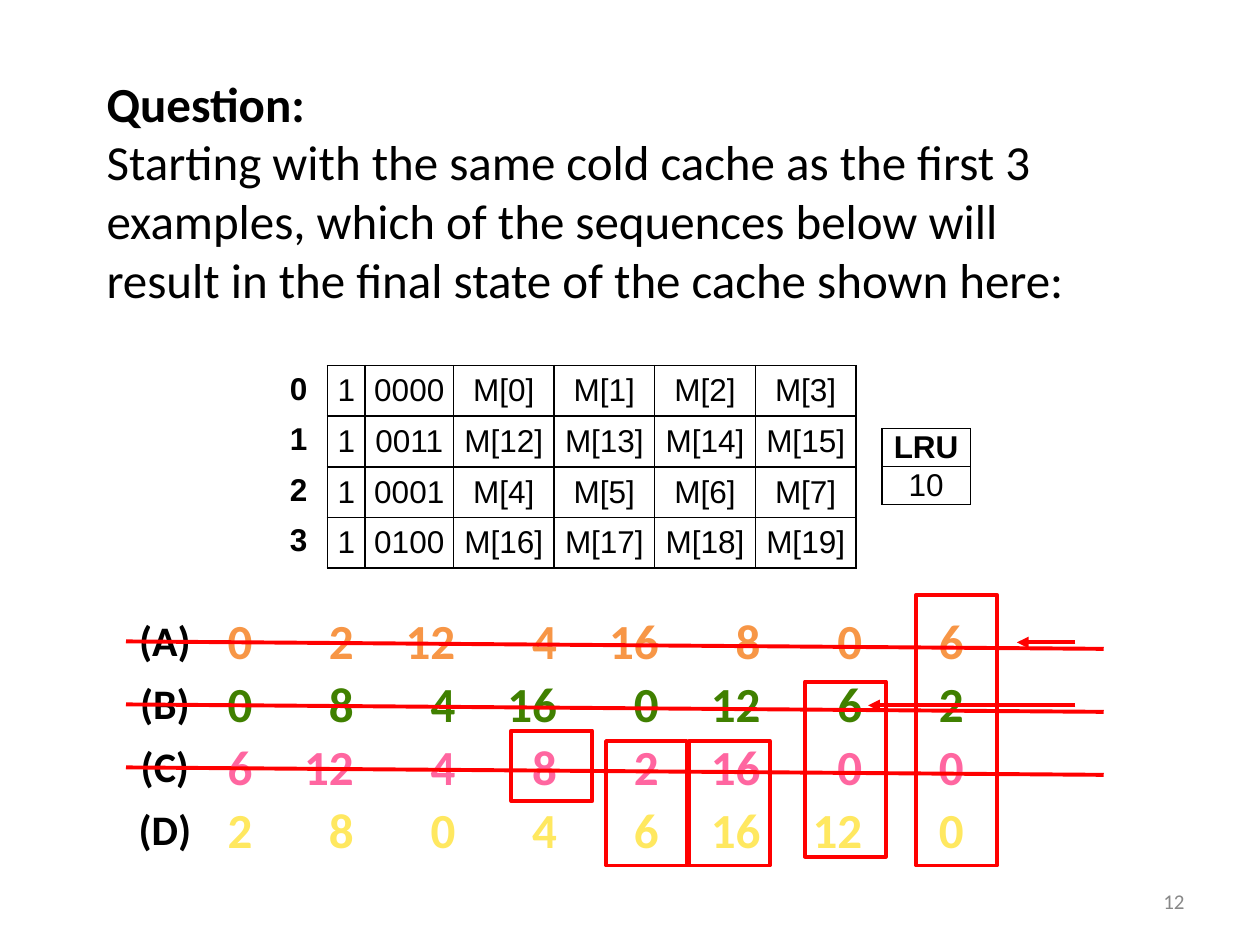
from typing import NamedTuple, Optional

from pptx import Presentation
from pptx import util as u
from pptx.dml.color import RGBColor
from pptx.enum import shapes, text
from pptx.oxml.ns import qn
from lxml import etree

Cm, Pt = u.Cm, u.Pt
ALIGN, ANCHOR = text.PP_ALIGN, text.MSO_ANCHOR
RED, BLACK, WHITE = "FF0000", "000000", "FFFFFF"
ROW_STEP = 1.27
FIRST_TAB, TAB_STEP = 2.54, 2.05


class Sequence(NamedTuple):
    label: str
    color: str
    addresses: str


class Frame(NamedTuple):
    left: float
    top: float
    height: float


class Arrow(NamedTuple):
    tip: float
    y: float


SEQUENCES = [
    Sequence("(A)", "F79646", "0 2 12 4 16 8 0 6"),
    Sequence("(B)", "408000", "0 8 4 16 0 12 6 2"),
    Sequence("(C)", "FF66A0", "6 12 4 8 2 16 0 0"),
    Sequence("(D)", "FFE860", "2 8 0 4 6 16 12 0"),
]
FRAMES = [
    Frame(18.47, 11.99, 5.46),
    Frame(16.23, 13.74, 3.53),
    Frame(13.89, 14.94, 2.51),
    Frame(12.22, 14.94, 2.51),
    Frame(10.31, 14.73, 1.42),
]
ARROWS = [Arrow(20.5, 12.95), Arrow(17.5, 14.22)]
CACHE = [("0000", 0), ("0011", 12), ("0001", 4), ("0100", 16)]


def rgb(value: str) -> RGBColor:
    return RGBColor.from_string(value)


def write(p, content: str, size: float = 28, color: str = BLACK, bold: bool = False,
          font: str = "Calibri", align=ALIGN.LEFT) -> None:
    p.alignment = align
    r = p.add_run()
    r.text = content
    r.font.name, r.font.size, r.font.bold = font, Pt(size), bold
    r.font.color.rgb = rgb(color)


def add_box(s, left: float, top: float, width: float, height: float):
    tf = s.shapes.add_textbox(Cm(left), Cm(top), Cm(width), Cm(height)).text_frame
    tf.word_wrap = True
    return tf


def add_tabs(p, count: int) -> None:
    """Give the paragraph evenly spaced right-aligned tab stops."""
    tabs = etree.SubElement(p._p.get_or_add_pPr(), qn("a:tabLst"))
    for i in range(count):
        etree.SubElement(tabs, qn("a:tab"), pos=str(Cm(FIRST_TAB + i * TAB_STEP)), algn="r")


def add_sequence(s, row: int, seq: Sequence) -> None:
    y = row * ROW_STEP
    p = add_box(s, 4.34, 12.19 + y, 15.75, 1.45).paragraphs[0]
    addresses = seq.addresses.split()
    add_tabs(p, len(addresses) - 1)
    write(p, "\t".join(addresses), color=seq.color, bold=True)
    p = add_box(s, 2.54, 12.27 + y, 1.57, 1.27).paragraphs[0]
    write(p, seq.label, size=24, bold=True, align=ALIGN.CENTER)


def set_borders(cell, color: Optional[str]) -> None:
    """Outline all four sides, or clear them when there is no color."""
    tc_pr = cell._tc.get_or_add_tcPr()
    for i, side in enumerate(("lnL", "lnR", "lnT", "lnB")):
        ln = etree.Element(qn(f"a:{side}"), w=str(Pt(1)))
        if color:
            fill = etree.SubElement(ln, qn("a:solidFill"))
            etree.SubElement(fill, qn("a:srgbClr"), val=color)
        else:
            etree.SubElement(ln, qn("a:noFill"))
        tc_pr.insert(i, ln)


def add_grid(s, left: float, top: float, widths: list[float], row_height: float,
             rows: list[list[str]], bold_rows: int = 0, boxed: bool = True) -> None:
    table = s.shapes.add_table(len(rows), len(widths), Cm(left), Cm(top),
                               Cm(sum(widths)), Cm(row_height * len(rows))).table
    table.first_row = table.horz_banding = False
    for column, width in zip(table.columns, widths):
        column.width = Cm(width)
    for i, values in enumerate(rows):
        table.rows[i].height = Cm(row_height)
        for j, value in enumerate(values):
            cell = table.cell(i, j)
            if boxed:
                cell.margin_left = cell.margin_right = cell.margin_top = cell.margin_bottom = 0
                cell.vertical_anchor = ANCHOR.MIDDLE
                cell.fill.solid()
                cell.fill.fore_color.rgb = rgb(WHITE)
            else:
                cell.fill.background()
            set_borders(cell, BLACK if boxed else None)
            write(cell.text_frame.paragraphs[0], value, size=18, font="Arial",
                  bold=i < bold_rows, align=ALIGN.CENTER)


def add_frame(s, frame: Frame) -> None:
    sp = s.shapes.add_shape(shapes.MSO_SHAPE.RECTANGLE, Cm(frame.left), Cm(frame.top),
                            Cm(1.63), Cm(frame.height))
    sp.shadow.inherit = False
    sp.fill.background()
    sp.line.color.rgb = rgb(RED)
    sp.line.width = Pt(2.25)


def add_line(s, x1: float, y1: float, x2: float, y2: float, arrow: bool = False) -> None:
    line = s.shapes.add_connector(shapes.MSO_CONNECTOR.STRAIGHT, Cm(x1), Cm(y1), Cm(x2), Cm(y2))
    line.line.color.rgb = rgb(RED)
    line.line.width = Pt(2.25)
    if arrow:
        etree.SubElement(line.line._get_or_add_ln(), qn("a:tailEnd"), type="triangle")
    etree.SubElement(line._element.spPr, qn("a:effectLst"))


def main() -> None:
    prs = Presentation()
    prs.slide_width, prs.slide_height = Cm(25.4), Cm(19.05)
    s = prs.slides.add_slide(prs.slide_layouts[6])

    tf = add_box(s, 18.21, 17.65, 5.92, 1.02)
    tf.vertical_anchor = ANCHOR.MIDDLE
    write(tf.paragraphs[0], "12", size=12, color="888888", align=ALIGN.RIGHT)

    tf = add_box(s, 1.9, 1.35, 20.32, 5.05)
    write(tf.paragraphs[0], "Question:", bold=True)
    write(tf.add_paragraph(), "Starting with the same cold cache as the first 3 examples, "
          "which of the sequences below will result in the final state of the cache shown here:")

    for row, seq in enumerate(SEQUENCES):
        add_sequence(s, row, seq)

    blocks = [["1", tag] + [f"M[{start + i}]" for i in range(4)] for tag, start in CACHE]
    add_grid(s, 6.6, 7.37, [0.76, 1.78] + [2.03] * 4, 1.02, blocks)
    add_grid(s, 17.78, 8.64, [1.78], 0.76, [["LRU"], ["10"]], bold_rows=1)
    add_grid(s, 5.59, 7.37, [0.76], 0.76, [[str(i)] for i in range(4)],
             bold_rows=4, boxed=False)

    for frame in FRAMES:
        add_frame(s, frame)
    for arrow in ARROWS:
        add_line(s, 21.68, arrow.y, arrow.tip, arrow.y, arrow=True)
    for row in range(3):
        y = row * ROW_STEP
        add_line(s, 22.25, 13.08 + y, 2.54, 12.93 + y)

    prs.save("out.pptx")


if __name__ == "__main__":
    main()
